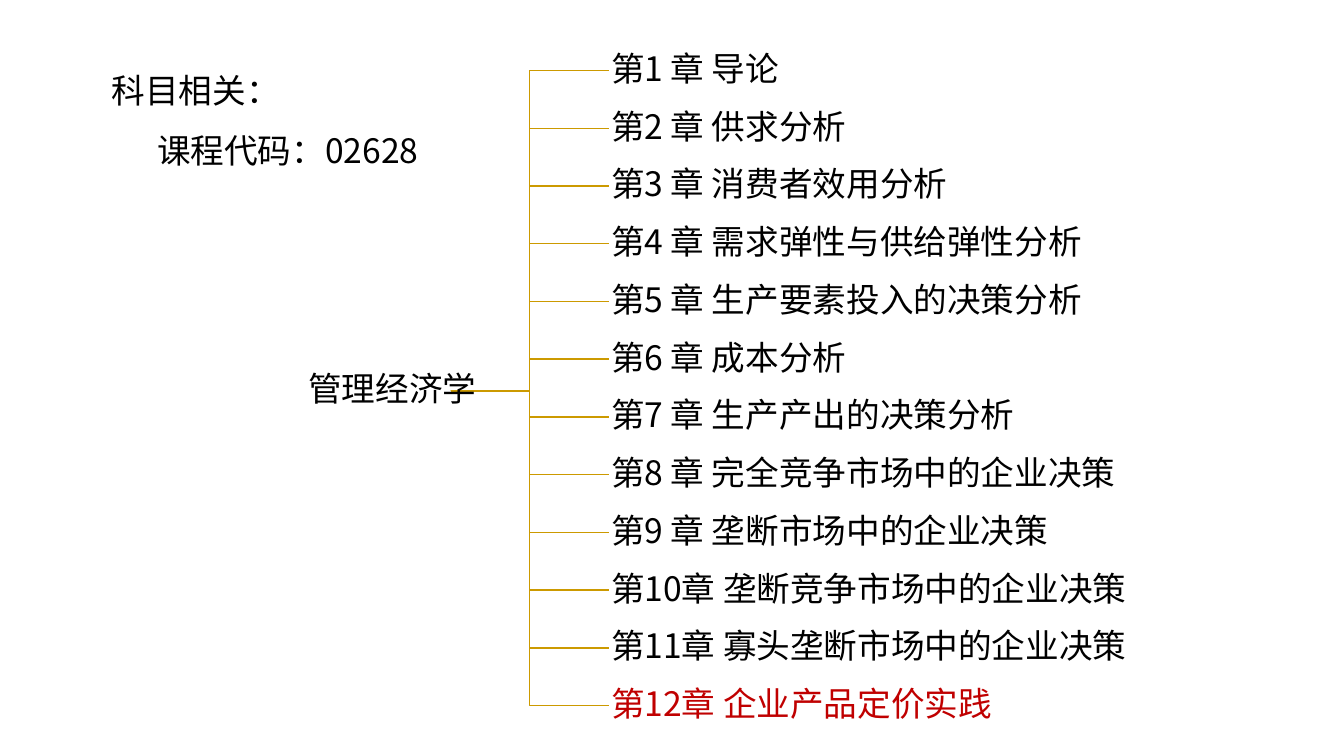
from pptx import Presentation
from pptx.dml.color import RGBColor
from pptx.enum.shapes import MSO_SHAPE
from pptx.enum.text import MSO_ANCHOR, PP_ALIGN
from pptx.util import Inches, Pt

BLACK = RGBColor(0x00, 0x00, 0x00)
WHITE = RGBColor(0xFF, 0xFF, 0xFF)
RED = RGBColor(0xC0, 0x00, 0x00)
GOLD = RGBColor(0xCC, 0x9A, 0x00)
FONT = "Noto Sans CJK SC"

CHAPTERS = [
    "第1 章 导论",
    "第2 章 供求分析",
    "第3 章 消费者效用分析",
    "第4 章 需求弹性与供给弹性分析",
    "第5 章 生产要素投入的决策分析",
    "第6 章 成本分析",
    "第7 章 生产产出的决策分析",
    "第8 章 完全竞争市场中的企业决策",
    "第9 章 垄断市场中的企业决策",
    "第10章 垄断竞争市场中的企业决策",
    "第11章 寡头垄断市场中的企业决策",
    "第12章 企业产品定价实践",
]

# Tree grid, in inches
ROOT_X, TRUNK_X, CHAPTER_X = 4.47, 5.25, 6.04
ROOT_Y = 3.88
CHAPTER_W, CHAPTER_H = 5.79, 0.51
FIRST_Y, LAST_Y = 0.7, 7.0
PITCH = (LAST_Y - FIRST_Y) / (len(CHAPTERS) - 1)


def style_paragraph(p, color, spacing, align=PP_ALIGN.LEFT):
    p.alignment = align
    p.line_spacing = spacing
    for r in p.runs:
        r.font.size = Pt(24)
        r.font.name = FONT
        r.font.color.rgb = color
        r._r.get_or_add_rPr().get_or_add_latin().addnext(
            r._r.rPr.makeelement(
                "{http://schemas.openxmlformats.org/drawingml/2006/main}ea",
                {"typeface": FONT}))


def fill_node(shape, text, color, align):
    tf = shape.text_frame
    tf.word_wrap = True
    tf.vertical_anchor = MSO_ANCHOR.MIDDLE
    tf.margin_left = tf.margin_right = Inches(0.02)
    tf.margin_top = tf.margin_bottom = Inches(0.02)
    tf.text = text
    style_paragraph(tf.paragraphs[0], color, 0.9, align)


prs = Presentation()
prs.slide_width, prs.slide_height = Inches(13.33), Inches(7.5)
s = prs.slides.add_slide(prs.slide_layouts[6])

# Branches from the subject to each chapter
for i in reversed(range(len(CHAPTERS))):
    y = FIRST_Y + i * PITCH
    points = [(TRUNK_X, ROOT_Y), (TRUNK_X, y), (CHAPTER_X, y)]
    builder = s.shapes.build_freeform(Inches(ROOT_X), Inches(ROOT_Y))
    builder.add_line_segments([(Inches(a), Inches(b)) for a, b in points], close=False)
    branch = builder.convert_to_shape()
    branch.shadow.inherit = False
    branch.fill.background()
    branch.line.color.rgb = GOLD
    branch.line.width = Pt(1)

# Subject
subject = s.shapes.add_textbox(Inches(2.73), Inches(3.3), Inches(2.32), Inches(1.16))
fill_node(subject, "管理经济学", BLACK, PP_ALIGN.CENTER)

# Chapters, the last one highlighted
for i, title in enumerate(CHAPTERS):
    top = FIRST_Y + i * PITCH - CHAPTER_H / 2
    chapter = s.shapes.add_shape(MSO_SHAPE.RECTANGLE, Inches(CHAPTER_X), Inches(top),
                                 Inches(CHAPTER_W), Inches(CHAPTER_H))
    chapter.shadow.inherit = False
    chapter.fill.solid()
    chapter.fill.fore_color.rgb = WHITE
    chapter.line.fill.background()
    fill_node(chapter, title, RED if title == CHAPTERS[-1] else BLACK, PP_ALIGN.LEFT)

# Course details
details = s.shapes.add_textbox(Inches(1.01), Inches(0.44), Inches(8.19), Inches(1.31))
tf = details.text_frame
tf.word_wrap = True
tf.text = "科目相关：\n课程代码：02628"
for p in tf.paragraphs:
    style_paragraph(p, BLACK, 1.5)
tf.paragraphs[1]._p.get_or_add_pPr().set("marL", str(Inches(0.45)))

prs.save("out.pptx")
